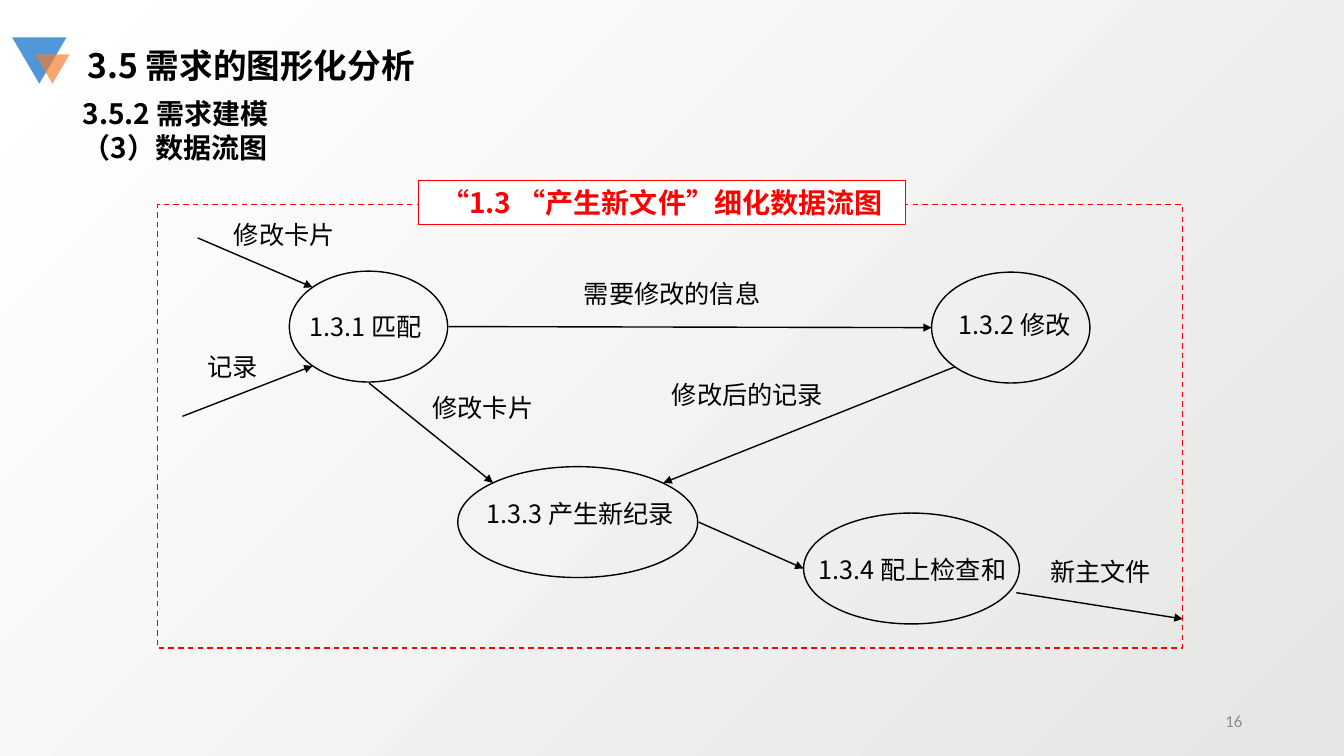
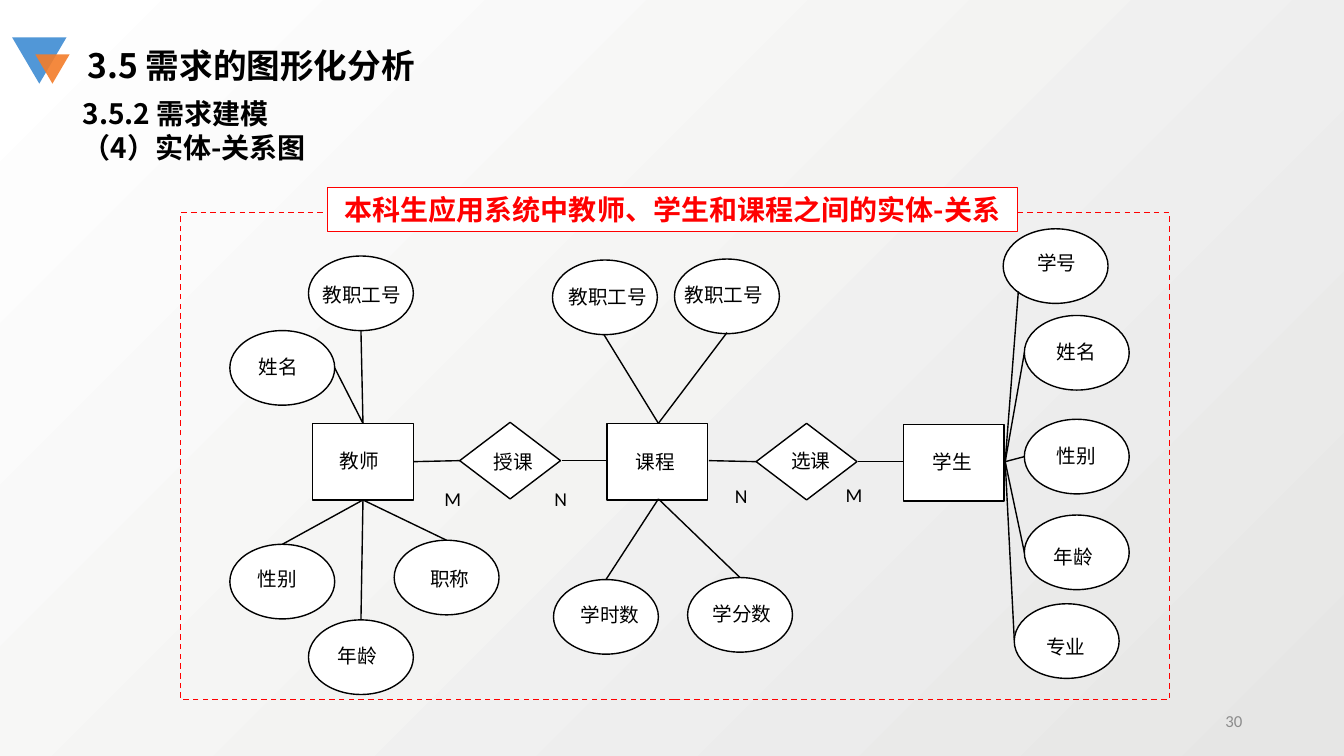
from lxml import etree
from pptx import Presentation
from pptx.dml.color import RGBColor
from pptx.enum.dml import MSO_LINE
from pptx.enum.shapes import MSO_CONNECTOR, MSO_SHAPE
from pptx.enum.text import MSO_ANCHOR, MSO_AUTO_SIZE, PP_ALIGN
from pptx.oxml.ns import qn
from pptx.util import Inches, Pt

BLACK = RGBColor(0x00, 0x00, 0x00)
WHITE = RGBColor(0xFF, 0xFF, 0xFF)
RED = RGBColor(0xFF, 0x00, 0x00)
GRAY = RGBColor(0x8C, 0x8C, 0x8C)
BLUE = RGBColor(0x51, 0x97, 0xD7)
ORANGE = RGBColor(0xF3, 0x7D, 0x2A)
BG_DARK = RGBColor(0xE6, 0xE6, 0xE5)
CJK = "Noto Sans CJK SC"
LATIN = "Calibri"
LEFT, CENTER, RIGHT = PP_ALIGN.LEFT, PP_ALIGN.CENTER, PP_ALIGN.RIGHT
TOP, MIDDLE = MSO_ANCHOR.TOP, MSO_ANCHOR.MIDDLE
NO_AUTOFIT = MSO_AUTO_SIZE.NONE
OVAL, RECT = MSO_SHAPE.OVAL, MSO_SHAPE.RECTANGLE
DIAMOND, TRIANGLE = MSO_SHAPE.DIAMOND, MSO_SHAPE.ISOSCELES_TRIANGLE
STRAIGHT = MSO_CONNECTOR.STRAIGHT
DASH = MSO_LINE.DASH


def set_text(sp, text, size, font=CJK, color=BLACK, bold=False, align=LEFT, anchor=TOP):
    tf = sp.text_frame
    tf.text = text
    tf.word_wrap = True
    tf.auto_size = NO_AUTOFIT
    tf.vertical_anchor = anchor
    for p in tf.paragraphs:
        p.alignment = align
        p.font.size = Pt(size)
        p.font.bold = bold
        p.font.color.rgb = color
        p.font.name = font
        etree.SubElement(p.font._element, qn("a:ea"), typeface=CJK)


def add_box(s, kind, box, fill=None, line=None, width=1):
    sp = s.shapes.add_shape(kind, *map(Inches, box))
    sp.shadow.inherit = False
    if fill is None:
        sp.fill.background()
    else:
        sp.fill.solid()
        sp.fill.fore_color.rgb = fill
    if line is None:
        sp.line.fill.background()
    else:
        sp.line.color.rgb = line
        sp.line.width = Pt(width)
    return sp


flow_nodes = [
    (OVAL, 2.87, 2.69, 1.57, 1.1),
    (OVAL, 9.24, 2.7, 1.57, 1.1),
    (OVAL, 4.54, 4.63, 2.38, 1.1),
    (OVAL, 7.97, 5.09, 2.14, 1.1),
]
flow_links = [
    (1.96, 2.36, 3.1, 2.85),
    (1.81, 4.13, 3.1, 3.63),
    (4.45, 3.24, 9.24, 3.25),
    (3.66, 3.8, 4.89, 4.79),
    (9.47, 3.64, 6.58, 4.79),
    (6.93, 5.18, 7.97, 5.64),
    (10.08, 5.88, 11.73, 6.14),
]
flow_labels = [
    ("修改卡片", 1.94, 2.13, 1.76),
    ("记录", 1.83, 3.44, 0.95),
    ("需要修改的信息", 5.59, 2.71, 2.15),
    ("修改卡片", 4.07, 3.84, 1.44),
    ("修改后的记录", 6.05, 3.71, 2.73),
    ("新主文件", 10.17, 5.47, 1.49),
    ("1.3.1 匹配", 2.88, 3.04, 1.49),
    ("1.3.2 修改", 9.32, 3.02, 1.49),
    ("1.3.3 产生新纪录", 4.65, 4.89, 2.21),
    ("1.3.4 配上检查和", 7.93, 5.45, 2.24),
]

attributes = [
    ("教职工号", 3.06, 2.54, 3.1, 2.76),
    ("姓名", 2.28, 3.28, 2.47, 3.47),
    ("性别", 2.28, 5.4, 2.46, 5.58),
    ("年龄", 3.06, 6.15, 3.25, 6.34),
    ("职称", 3.91, 5.36, 4.17, 5.58),
    ("教职工号", 5.48, 2.58, 5.54, 2.78),
    ("教职工号", 6.69, 2.57, 6.69, 2.76),
    ("学时数", 5.49, 5.75, 5.66, 5.93),
    ("学分数", 6.82, 5.73, 6.97, 5.92),
    ("学号", 9.95, 2.27, 10.19, 2.44),
    ("姓名", 10.16, 3.13, 10.38, 3.32),
    ("性别", 10.16, 4.16, 10.38, 4.35),
    ("年龄", 10.16, 5.11, 10.35, 5.36),
    ("专业", 10.06, 5.99, 10.28, 6.25),
]
entities = [
    ("教师", RECT, 3.1, 4.2, 3.27, 4.4),
    ("授课", DIAMOND, 4.56, 4.19, 4.8, 4.41),
    ("课程", RECT, 6.02, 4.2, 6.21, 4.41),
    ("选课", DIAMOND, 7.5, 4.2, 7.75, 4.4),
    ("学生", RECT, 8.96, 4.21, 9.15, 4.41),
]
cardinalities = [("M", 4.31, 4.78), ("N", 5.4, 4.78), ("N", 7.19, 4.75), ("M", 8.29, 4.74)]
fans = [
    ((3.6, 4.2), [(3.58, 3.28), (3.32, 3.65)]),
    ((3.6, 4.96), [(3.58, 6.15), (2.8, 5.4), (4.43, 5.36)]),
    ((6.53, 4.2), [(5.99, 3.32), (7.21, 3.3)]),
    ((6.53, 4.95), [(6.01, 5.75), (7.34, 5.73)]),
    ((9.97, 4.58), [(10.1, 2.89), (10.16, 3.5), (10.16, 4.53), (10.16, 5.48), (10.06, 6.35)]),
]
er_nodes = [(OVAL, x, y, 1.04, 0.74) for _, x, y, _, _ in attributes]
er_nodes += [(kind, x, y, 1, 0.76) for _, kind, x, y, _, _ in entities]
er_links = [(*end, *hub) for hub, ends in fans for end in ends]
er_links += [
    (4.56, 4.57, 4.1, 4.58),
    (6.02, 4.57, 5.57, 4.57),
    (7.5, 4.58, 7.03, 4.57),
    (8.96, 4.58, 8.51, 4.58),
]
er_labels = [(row[0], *row[-2:], 1.2) for row in attributes + entities + cardinalities]

slides = [
    dict(
        number="16", topic="（3）数据流图", caption="“1.3 “产生新文件”细化数据流图",
        caption_box=(4.15, 1.79, 4.83, 0.44), frame=(1.56, 2.03, 10.17, 4.4),
        nodes=flow_nodes, links=flow_links, labels=flow_labels,
        fill=None, arrows=True, size=18, font=CJK, align=CENTER, opacity=68,
    ),
    dict(
        number="30", topic="（4）实体-关系图", caption="本科生应用系统中教师、学生和课程之间的实体-关系",
        caption_box=(3.25, 1.86, 6.84, 0.44), frame=(1.79, 2.11, 9.81, 4.83),
        nodes=er_nodes, links=er_links, labels=er_labels,
        fill=WHITE, arrows=False, size=14, font=LATIN, align=LEFT, opacity=90,
    ),
]

prs = Presentation()
prs.slide_width = Inches(13.33)
prs.slide_height = Inches(7.5)

bg = prs.slide_master.background.fill
bg.gradient()
bg.gradient_angle = 135
for stop, color, position in zip(bg.gradient_stops, (BG_DARK, WHITE), (0, 1)):
    stop.color.rgb = color
    stop.position = position

for data in slides:
    s = prs.slides.add_slide(prs.slide_layouts[5])

    title = s.shapes.title
    title.left, title.top, title.width, title.height = map(Inches, (0.77, 0.4, 5, 0.5))
    set_text(title, "3.5 需求的图形化分析", 24, bold=True)

    back = add_box(s, TRIANGLE, (0.12, 0.37, 0.54, 0.46), BLUE)
    front = add_box(s, TRIANGLE, (0.35, 0.54, 0.34, 0.29), ORANGE)
    back.rotation = front.rotation = 180
    rgb = front._element.spPr.find(qn("a:solidFill"))[0]
    etree.SubElement(rgb, qn("a:alpha"), val=str(data["opacity"] * 1000))

    subtitle = s.shapes.add_textbox(*map(Inches, (0.72, 0.91, 8.49, 0.77)))
    set_text(subtitle, "3.5.2 需求建模\n" + data["topic"], 20, bold=True)

    for kind, *box in data["nodes"]:
        add_box(s, kind, box, data["fill"], BLACK)

    for link in data["links"]:
        c = s.shapes.add_connector(STRAIGHT, *map(Inches, link))
        c.line.color.rgb = BLACK
        c.line.width = Pt(1)
        if data["arrows"]:
            etree.SubElement(c.line._get_or_add_ln(), qn("a:tailEnd"), type="triangle")
        etree.SubElement(c._element.spPr, qn("a:effectLst"))

    for text, x, y, w in data["labels"]:
        label = s.shapes.add_textbox(*map(Inches, (x, y, w, 0.4)))
        set_text(label, text, data["size"], data["font"], align=data["align"])

    frame = add_box(s, RECT, data["frame"], line=RED)
    frame.line.dash_style = DASH

    caption = add_box(s, RECT, data["caption_box"], WHITE, RED, 0.75)
    set_text(caption, data["caption"], 20, color=RED, bold=True, align=CENTER)
    caption.text_frame.margin_left = caption.text_frame.margin_right = Inches(0.05)

    number = s.shapes.add_textbox(*map(Inches, (9.42, 6.95, 3, 0.4)))
    set_text(number, data["number"], 12, LATIN, GRAY, align=RIGHT, anchor=MIDDLE)

prs.save("out.pptx")
